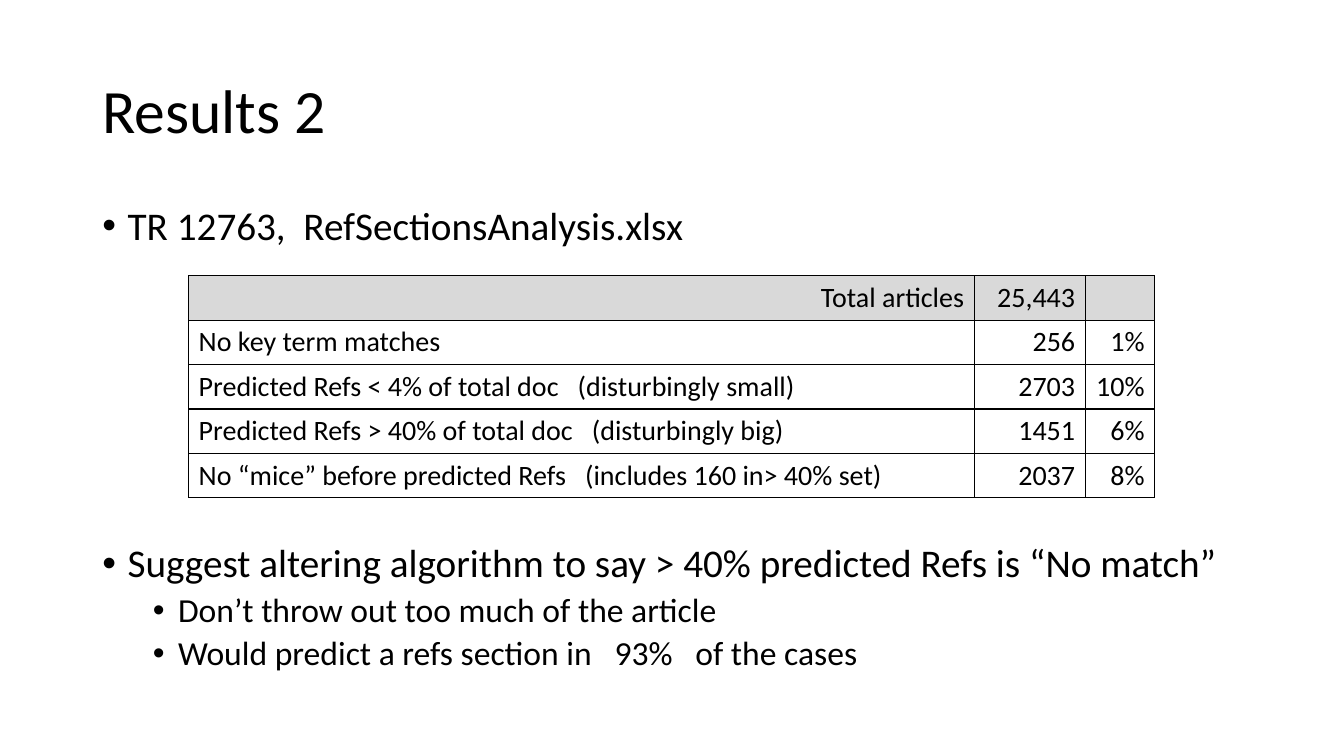
from lxml import etree
from pptx import Presentation
from pptx import util as u
from pptx.dml import color
from pptx.enum import text
from pptx.oxml import ns

LEFT, RIGHT = text.PP_ALIGN.LEFT, text.PP_ALIGN.RIGHT


def rgb(hex_code):
    """Turn a hex string into a colour."""
    return color.RGBColor.from_string(hex_code)


def add_xml(parent, tag, **attributes):
    """Append a DrawingML element and return it."""
    return etree.SubElement(parent, ns.qn(tag), attributes)


def write(paragraph, words, size, align=LEFT, font="Calibri", ink="000000",
          line=None, before=0):
    """Put formatted words into a paragraph."""
    paragraph.alignment = align
    paragraph.line_spacing = line
    paragraph.space_before = u.Pt(before)
    paragraph.font.size = u.Pt(size)
    if words:
        run = paragraph.add_run()
        run.text = words
        run.font.size = u.Pt(size)
        run.font.name = font
        run.font.color.rgb = rgb(ink)


class ResultsSlide:
    """The current slide and its style."""

    ink, header_fill = "000000", "D9D9D9"
    line = 0.9

    def __init__(self, deck):
        """Add a title-and-content slide."""
        self.slide = deck.slides.add_slide(deck.slide_layouts[1])

    def place(self, holder, left, top, width, height, anchor):
        """Move a placeholder and return its text frame."""
        holder.left, holder.top = u.Pt(left), u.Pt(top)
        holder.width, holder.height = u.Pt(width), u.Pt(height)
        frame = holder.text_frame
        frame.word_wrap = True
        frame.auto_size = text.MSO_AUTO_SIZE.NONE
        frame.vertical_anchor = anchor
        return frame

    def title(self, words, *box):
        """Fill the title placeholder."""
        frame = self.place(self.slide.shapes.title, *box, text.MSO_ANCHOR.MIDDLE)
        write(frame.paragraphs[0], words, 44, line=self.line)

    def bullets(self, items, *box):
        """Fill the body with (level, space before, words) items."""
        frame = self.place(self.slide.placeholders[1], *box, text.MSO_ANCHOR.TOP)
        for index, (level, before, words) in enumerate(items):
            item = frame.add_paragraph() if index else frame.paragraphs[0]
            item.level = level
            write(item, words, 28 - 4 * level, line=self.line, before=before)
            props = item._p.get_or_add_pPr()
            props.set("marL", str(u.Pt(18 + 36 * level)))
            props.set("indent", str(u.Pt(-18)))
            add_xml(props, "a:buFont", typeface="Arial")
            add_xml(props, "a:buChar", char="•")

    def border(self, cell):
        """Draw a thin line on all four sides of a cell."""
        props = cell._tc.get_or_add_tcPr()
        for side in "LRTB":
            edge = add_xml(props, f"a:ln{side}", w=str(u.Pt(1)))
            add_xml(add_xml(edge, "a:solidFill"), "a:srgbClr", val=self.ink)

    def table(self, rows, left, top, widths, row_height):
        """Add a bordered table with a shaded first row."""
        grid = self.slide.shapes.add_table(
            len(rows), len(widths), u.Pt(left), u.Pt(top),
            u.Pt(sum(widths)), u.Pt(row_height * len(rows))).table
        grid.first_row = grid.horz_banding = False
        for column, width in zip(grid.columns, widths):
            column.width = u.Pt(width)
        for r, row in enumerate(rows):
            grid.rows[r].height = u.Pt(row_height)
            for c, words in enumerate(row):
                cell = grid.cell(r, c)
                self.border(cell)
                if r == 0:
                    cell.fill.solid()
                    cell.fill.fore_color.rgb = rgb(self.header_fill)
                else:
                    cell.fill.background()
                align = LEFT if r and c == 0 else RIGHT
                write(cell.text_frame.paragraphs[0], words, 20, align)


deck = Presentation()
deck.slide_width, deck.slide_height = u.Pt(960), u.Pt(540)

results = ResultsSlide(deck)
results.title("Results 2", 66, 28.75, 828, 104.4)
results.bullets([
    (0, 10, "TR 12763,  RefSectionsAnalysis.xlsx"),
    (0, 211, "Suggest altering algorithm to say > 40% predicted Refs is “No match”"),
    (1, 5, "Don’t throw out too much of the article"),
    (1, 5, "Would predict a refs section in   93%   of the cases"),
], 66, 143.75, 828, 342.6)
results.table([
    ("Total articles", "25,443", ""),
    ("No key term matches", "256", "1%"),
    ("Predicted Refs < 4% of total doc   (disturbingly small)", "2703", "10%"),
    ("Predicted Refs > 40% of total doc   (disturbingly big)", "1451", "6%"),
    ("No “mice” before predicted Refs   (includes 160 in> 40% set)", "2037", "8%"),
], 134.75, 197, (561.2, 79.3, 49.6), 31.7)

deck.save("out.pptx")
